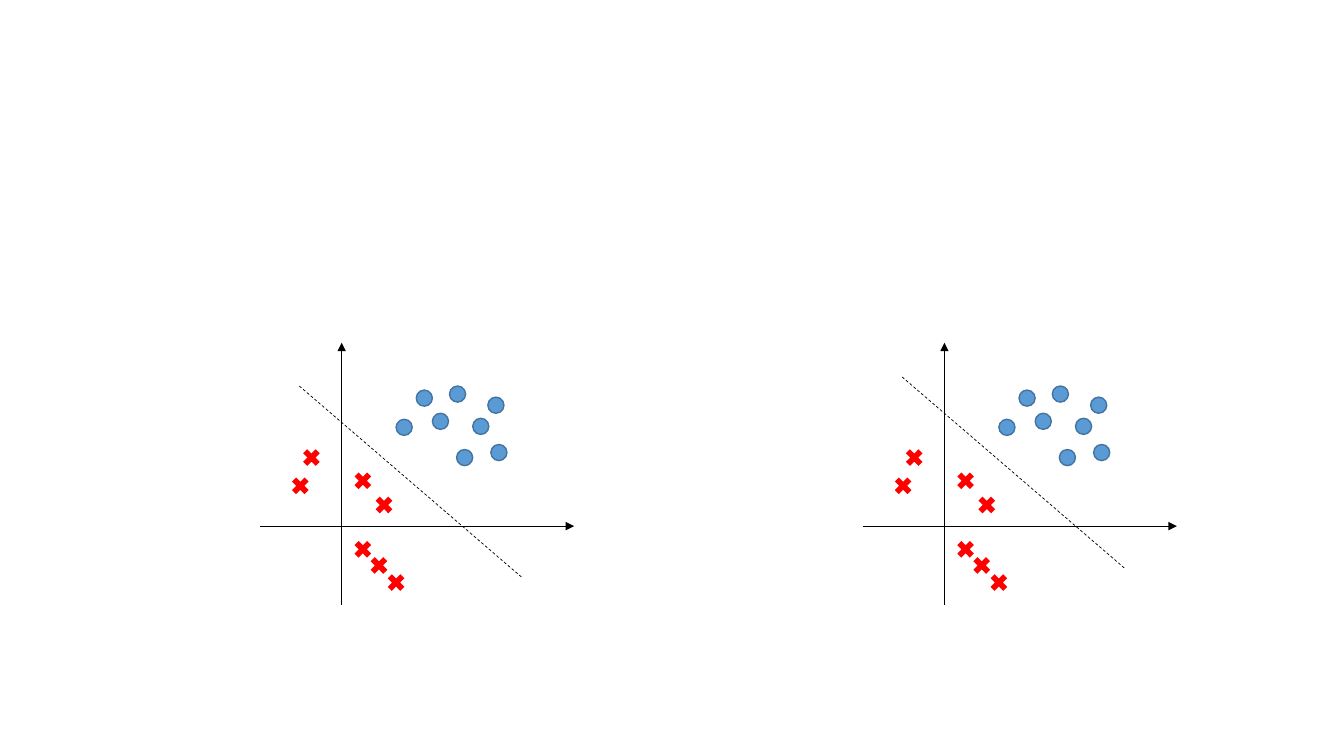
"""Build a slide with two scatter plots, each split by a dashed boundary."""
from dataclasses import dataclass
from typing import NamedTuple

from lxml.etree import SubElement
from pptx import Presentation
from pptx.dml.color import RGBColor
from pptx.enum.dml import MSO_LINE
from pptx.enum.shapes import MSO_CONNECTOR, MSO_SHAPE
from pptx.oxml.ns import qn
from pptx.util import Pt


class Point(NamedTuple):
    """A position in points, relative to a plot's origin."""
    x: float
    y: float


@dataclass(frozen=True)
class Marker:
    """The look shared by all samples of one class."""
    shape: MSO_SHAPE
    size: float
    fill: str
    outline: str | None = None


@dataclass(frozen=True)
class Plot:
    """The place of one plot and the vertical shift of its boundary."""
    origin: Point
    boundary_shift: float
    grouped: bool


CROSS = Marker(MSO_SHAPE.MATH_MULTIPLY, 17.28, "FF0000")
CIRCLE = Marker(MSO_SHAPE.OVAL, 11.52, "5B9BD5", "43739E")
SAMPLES = {
    CROSS: [
        Point(15.12, 16.56), Point(26.64, 28.08), Point(38.88, 40.32),
        Point(-29.52, -28.8), Point(-21.6, -48.96), Point(15.12, -32.4),
        Point(30.24, -15.12),
    ],
    CIRCLE: [
        Point(44.64, -70.56), Point(59.04, -91.44), Point(70.56, -74.88),
        Point(87.84, -48.96), Point(82.8, -94.32), Point(99.36, -71.28),
        Point(110.16, -86.4), Point(112.32, -52.56),
    ],
}
AXES = [
    (Point(0, 56.16), Point(0, -131.04)),
    (Point(-58.32, 0), Point(165.96, 0)),
]
BOUNDARY = (Point(-30.24, -100.08), Point(128.88, 36.72))
PLOTS = [
    Plot(Point(244.08, 375.84), 0, False),
    Plot(Point(674.64, 375.84), -6.48, True),
]


def color(value: str) -> RGBColor:
    """Turn a hex string into a colour."""
    return RGBColor.from_string(value)


def add_line(shapes, origin: Point, start: Point, end: Point):
    """Add a thin black line between two points of a plot."""
    line = shapes.add_connector(
        MSO_CONNECTOR.STRAIGHT,
        Pt(origin.x + start.x), Pt(origin.y + start.y),
        Pt(origin.x + end.x), Pt(origin.y + end.y),
    )
    line.line.color.rgb = color("000000")
    line.line.width = Pt(0.5)
    SubElement(line._element.spPr, qn("a:effectLst"))
    return line


def add_axis(shapes, origin: Point, start: Point, end: Point) -> None:
    """Add a line that ends in an arrowhead."""
    axis = add_line(shapes, origin, start, end)
    SubElement(axis.line._get_or_add_ln(), qn("a:tailEnd"), type="triangle")


def add_sample(shapes, origin: Point, center: Point, marker: Marker) -> None:
    """Add one marker around its center."""
    half = marker.size / 2
    sample = shapes.add_shape(
        marker.shape,
        Pt(origin.x + center.x - half), Pt(origin.y + center.y - half),
        Pt(marker.size), Pt(marker.size),
    )
    sample.shadow.inherit = False
    sample.fill.solid()
    sample.fill.fore_color.rgb = color(marker.fill)
    if marker.outline:
        sample.line.color.rgb = color(marker.outline)
        sample.line.width = Pt(1)
    else:
        sample.line.fill.background()


def add_plot(page, plot: Plot) -> None:
    """Add the axes, samples and boundary of one plot."""
    shapes = page.shapes.add_group_shape().shapes if plot.grouped else page.shapes
    for start, end in AXES:
        add_axis(shapes, plot.origin, start, end)
    for marker, centers in SAMPLES.items():
        for center in centers:
            add_sample(shapes, plot.origin, center, marker)
    start, end = (Point(x, y + plot.boundary_shift) for x, y in BOUNDARY)
    boundary = add_line(shapes, plot.origin, start, end)
    boundary.line.dash_style = MSO_LINE.DASH


def main() -> None:
    """Build and save the deck."""
    deck = Presentation()
    deck.slide_width, deck.slide_height = Pt(960), Pt(540)
    page = deck.slides.add_slide(deck.slide_layouts[6])
    for plot in PLOTS:
        add_plot(page, plot)
    deck.save("out.pptx")


if __name__ == "__main__":
    main()
